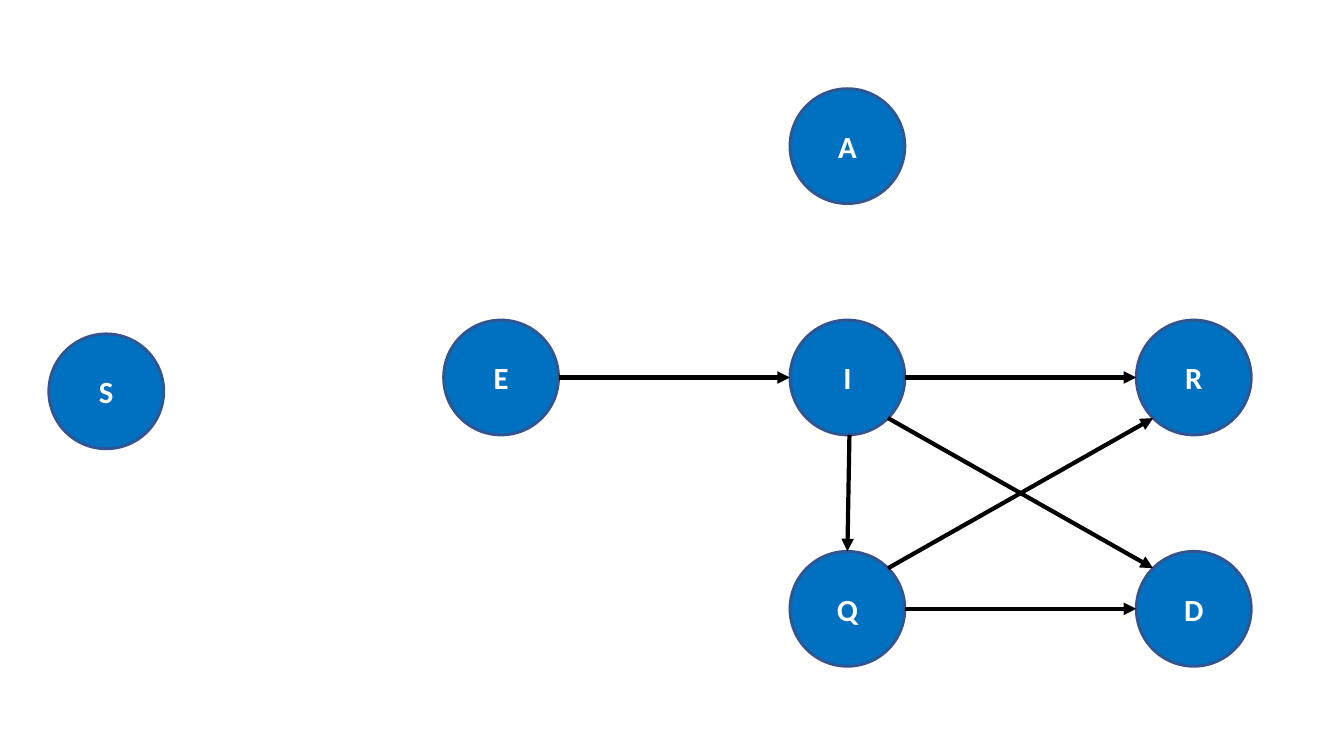
from dataclasses import dataclass
from math import cos, radians, sin

from lxml.etree import SubElement
from pptx import Presentation
from pptx.dml.color import RGBColor
from pptx.enum.shapes import MSO_CONNECTOR, MSO_SHAPE
from pptx.enum.text import MSO_ANCHOR, PP_ALIGN
from pptx.oxml.ns import qn
from pptx.slide import Slide
from pptx.util import Inches, Pt

COLORS = {
    "compartment": "0070C0",
    "outline": "325491",
    "letter": "FFFFFF",
    "flow": "000000",
}
FONT = "Calibri"
FIRST_COLUMN, COLUMN_STEP = 4.97, 3.435
FIRST_ROW, ROW_STEP = 1.45, 2.295
DIAMETER = 1.14


@dataclass(frozen=True)
class Compartment:
    letter: str
    column: float
    row: float

    @property
    def center(self) -> tuple[float, float]:
        return (
            FIRST_COLUMN + self.column * COLUMN_STEP,
            FIRST_ROW + self.row * ROW_STEP,
        )

    def rim(self, degrees: float) -> tuple[float, float]:
        x, y = self.center
        angle = radians(degrees)
        return x + DIAMETER / 2 * cos(angle), y + DIAMETER / 2 * sin(angle)


@dataclass(frozen=True)
class Flow:
    source: str
    source_angle: float
    target: str
    target_angle: float


COMPARTMENTS = [
    Compartment("S", -1.14, 1.06),
    Compartment("E", 0, 1),
    Compartment("A", 1, 0),
    Compartment("I", 1, 1),
    Compartment("Q", 1, 2),
    Compartment("R", 2, 1),
    Compartment("D", 2, 2),
]
FLOWS = [
    Flow("E", 0, "I", 180),
    Flow("I", 88, "Q", 270),
    Flow("I", 0, "R", 180),
    Flow("Q", 315, "R", 135),
    Flow("I", 45, "D", 225),
    Flow("Q", 0, "D", 180),
]


def color(name: str) -> RGBColor:
    return RGBColor.from_string(COLORS[name])


def draw_compartment(slide: Slide, compartment: Compartment) -> None:
    x, y = compartment.center
    circle = slide.shapes.add_shape(
        MSO_SHAPE.OVAL,
        Inches(x - DIAMETER / 2),
        Inches(y - DIAMETER / 2),
        Inches(DIAMETER),
        Inches(DIAMETER),
    )
    circle.shadow.inherit = False
    circle.fill.solid()
    circle.fill.fore_color.rgb = color("compartment")
    circle.line.color.rgb = color("outline")
    circle.line.width = Pt(2)
    circle.text_frame.vertical_anchor = MSO_ANCHOR.MIDDLE
    paragraph = circle.text_frame.paragraphs[0]
    paragraph.alignment = PP_ALIGN.CENTER
    run = paragraph.add_run()
    run.text = compartment.letter
    run.font.name = FONT
    run.font.size = Pt(22)
    run.font.bold = True
    run.font.color.rgb = color("letter")


def draw_flow(slide: Slide, flow: Flow, compartments: dict[str, Compartment]) -> None:
    start = compartments[flow.source].rim(flow.source_angle)
    end = compartments[flow.target].rim(flow.target_angle)
    arrow = slide.shapes.add_connector(
        MSO_CONNECTOR.STRAIGHT, *(Inches(length) for length in start + end)
    )
    arrow.line.color.rgb = color("flow")
    arrow.line.width = Pt(3)
    SubElement(arrow.line._get_or_add_ln(), qn("a:tailEnd"), type="triangle")
    SubElement(arrow._element.spPr, qn("a:effectLst"))


def main() -> None:
    presentation = Presentation()
    presentation.slide_width = Inches(13.33)
    presentation.slide_height = Inches(7.5)
    slide = presentation.slides.add_slide(presentation.slide_layouts[6])
    for compartment in COMPARTMENTS:
        draw_compartment(slide, compartment)
    by_letter = {compartment.letter: compartment for compartment in COMPARTMENTS}
    for flow in FLOWS:
        draw_flow(slide, flow, by_letter)
    presentation.save("out.pptx")


if __name__ == "__main__":
    main()
